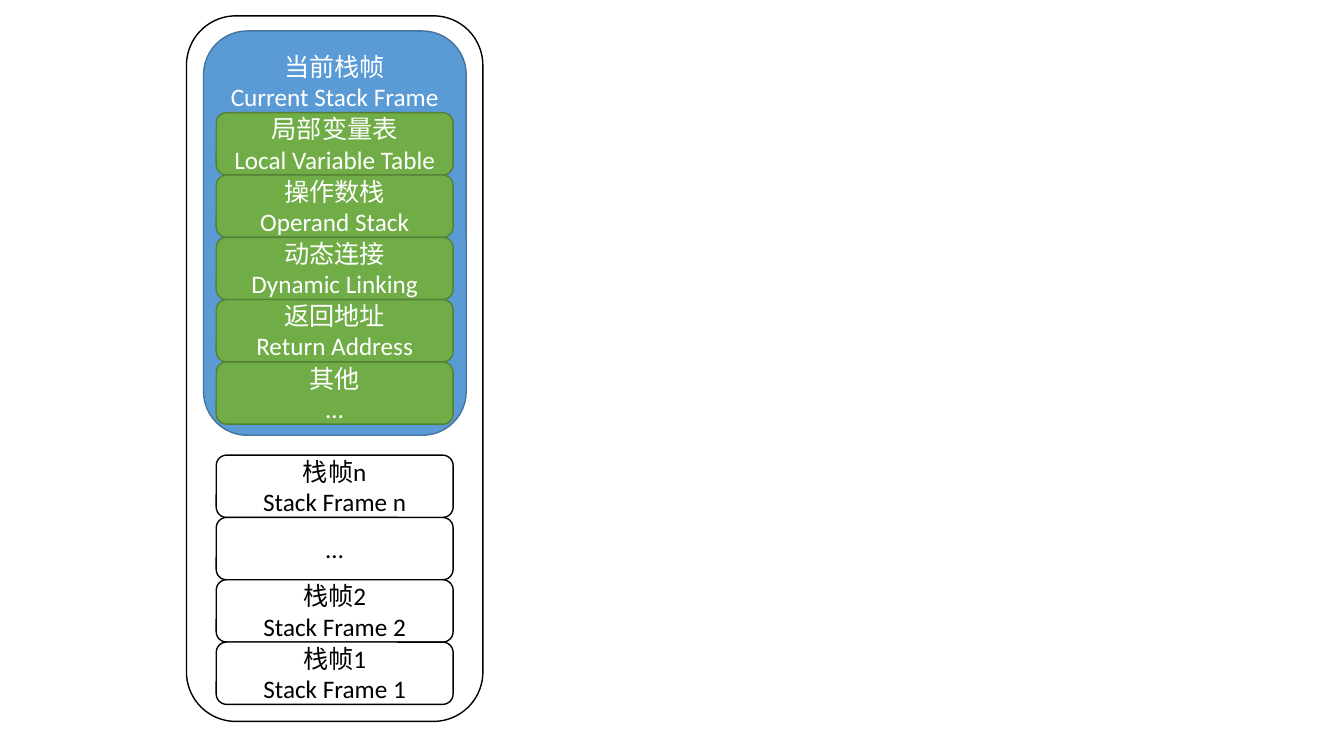
import pptx
import pptx.util
import pptx.dml.color
import pptx.enum.shapes
import pptx.enum.text

Cm, Pt = pptx.util.Cm, pptx.util.Pt
SHAPE = pptx.enum.shapes.MSO_SHAPE

COLORS = {
    "white": "FFFFFF",
    "black": "000000",
    "blue": "5B9BD5",
    "blue_edge": "43739E",
    "green": "70AD47",
    "green_edge": "538035",
}
FRAME_STYLE = {"fill": "blue", "edge": "blue_edge", "text": "white"}
PART_STYLE = {"fill": "green", "edge": "green_edge", "text": "white"}
PLAIN_STYLE = {"fill": "white", "edge": "black", "text": "black"}
TITLE_STYLE = {"fill": "blue", "edge": None, "text": "white"}
FONT = {"name": "Calibri", "size": Pt(18)}

FRAME_TITLE = ["当前栈帧", "Current Stack Frame"]
FRAME_PARTS = [
    ["局部变量表", "Local Variable Table"],
    ["操作数栈", "Operand Stack"],
    ["动态连接", "Dynamic Linking"],
    ["返回地址", "Return Address"],
    ["其他", "…"],
]
OTHER_FRAMES = [
    ["栈帧n", "Stack Frame n"],
    ["…"],
    ["栈帧2", "Stack Frame 2"],
    ["栈帧1", "Stack Frame 1"],
]
CELL_WIDTH, CELL_HEIGHT = 5.97, 1.57


def rgb(name):
    return pptx.dml.color.RGBColor.from_string(COLORS[name])


def add_box(shapes, box, style, lines=(), kind=SHAPE.ROUNDED_RECTANGLE):
    """Add a filled shape with centred lines; box is left, top, width, height in cm."""
    sp = shapes.add_shape(kind, *map(Cm, box))
    sp.shadow.inherit = False
    sp.fill.solid()
    sp.fill.fore_color.rgb = rgb(style["fill"])
    if style["edge"]:
        sp.line.color.rgb = rgb(style["edge"])
        sp.line.width = Pt(1)
    else:
        sp.line.fill.background()
    tf = sp.text_frame
    tf.word_wrap = True
    tf.vertical_anchor = pptx.enum.text.MSO_ANCHOR.MIDDLE
    for i, line in enumerate(lines):
        p = tf.add_paragraph() if i else tf.paragraphs[0]
        p.alignment = pptx.enum.text.PP_ALIGN.CENTER
        r = p.add_run()
        r.text = line
        for key, value in FONT.items():
            setattr(r.font, key, value)
        r.font.color.rgb = rgb(style["text"])


def add_cells(shapes, left, top, cells, style):
    """Stack equal cells downwards without gaps."""
    for i, lines in enumerate(cells):
        box = (left, top + i * CELL_HEIGHT, CELL_WIDTH, CELL_HEIGHT)
        add_box(shapes, box, style, lines)


def add_current_frame(shapes, left, top, width, height):
    group = shapes.add_group_shape().shapes
    cell_left = left + 0.32
    add_box(group, (left, top, width, height), FRAME_STYLE)
    add_box(group, (cell_left, top + 0.49, CELL_WIDTH, 1.55), TITLE_STYLE,
            FRAME_TITLE, SHAPE.RECTANGLE)
    add_cells(group, cell_left, top + 2.06, FRAME_PARTS, PART_STYLE)


def add_stack(shapes, left, top, width, height):
    add_box(shapes, (left, top, width, height), PLAIN_STYLE)
    add_current_frame(shapes, left + 0.43, top + 0.38, 6.62, 10.19)
    add_cells(shapes, left + 0.75, top + 11.07, OTHER_FRAMES, PLAIN_STYLE)


def main():
    prs = pptx.Presentation()
    prs.slide_width, prs.slide_height = Cm(33.87), Cm(19.05)
    s = prs.slides.add_slide(prs.slide_layouts[6])
    add_stack(s.shapes, 4.7, 0.4, 7.47, 17.78)
    prs.save("out.pptx")


if __name__ == "__main__":
    main()
